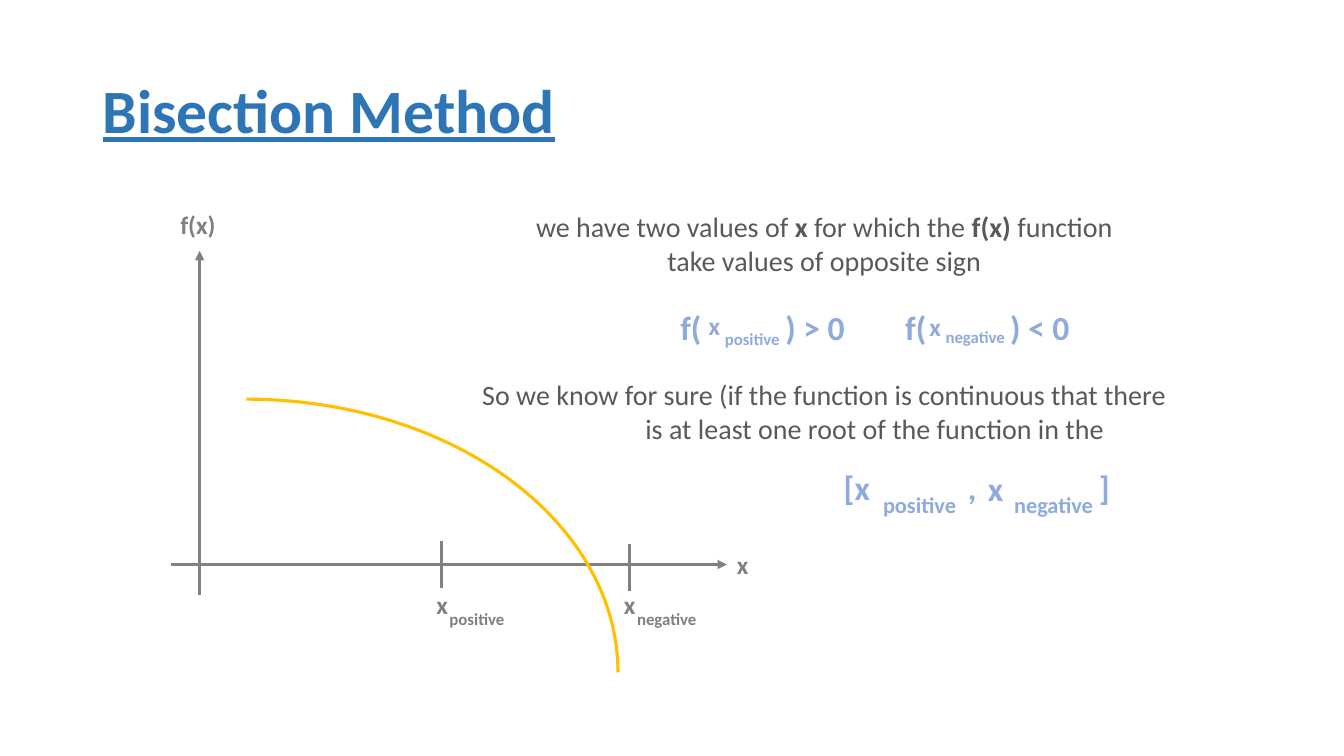
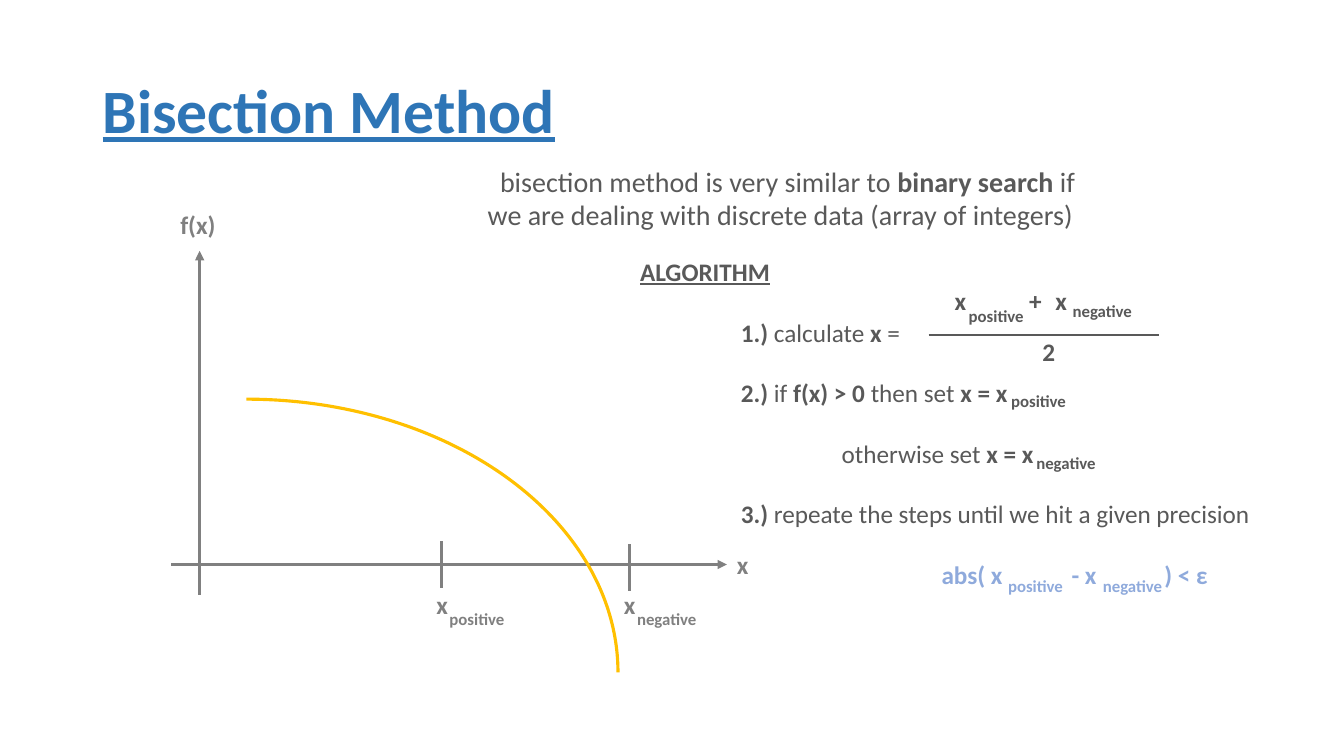
"""Builds two slides on the bisection method, sharing one title and one graph."""
import pptx
import pptx.dml.color
import pptx.enum.shapes
import pptx.enum.text
import pptx.oxml
import pptx.oxml.ns
import pptx.util
from pptx.util import Inches

THEME = {
    "font": "Calibri",
    "colors": {"title": "2E75B6", "axis": "808080", "body": "595959",
               "formula": "8FAADC", "curve": "FFC000"},
    "sizes": {"title": 44, "large": 24, "body": 20, "step": 18, "index": 16, "sub": 12},
    "line": 2.25,
    "thin": 1.5,
    "step_gap": 21.5,
}

TITLE = "Bisection Method"
AXES = [((1.98, 5.9), (1.98, 2.49)), ((1.7, 5.6), (7.21, 5.6))]
CURVE = (-1.24, 3.96, 7.37, 5.42)
TICK_LENGTH = 0.46
TICKS = [("positive", 4.38, 5.37), ("negative", 6.24, 5.4)]
AXIS_LABELS = [("f(x)", "step", "axis", 1.69, 2.03), ("x", "step", "axis", 7.21, 5.4)]

SLIDES = [
    {
        "texts": [
            {"at": (4.65, 2.03, 7.05, 0.77), "size": "body", "center": True, "lines": [
                (0, [("we have two values of ", False), ("x ", True), ("for which the ", False),
                     ("f(x) ", True), ("function", False)]),
                (0, [("take values of opposite sign", False)])]},
            {"at": (4.65, 3.7, 7.05, 0.77), "size": "body", "center": True, "lines": [
                (0, [("So we know for sure (if the function is continuous that there", False)]),
                (1, [("is at least one root of the function in the", False)])]},
        ],
        "labels": [
            ("f(", "large", "formula", 6.65, 3),
            ("x", "step", "formula", 6.93, 3.03),
            ("positive", "sub", "formula", 7.09, 3.21),
            (") > 0", "large", "formula", 7.69, 3),
            ("f(", "large", "formula", 8.88, 3),
            ("x", "step", "formula", 9.12, 3.04),
            ("negative", "sub", "formula", 9.28, 3.19),
            (") < 0", "large", "formula", 9.92, 3),
            ("[x", "large", "formula", 8.27, 4.58),
            ("positive", "index", "formula", 8.66, 4.82),
            (",", "large", "formula", 9.5, 4.58),
            ("x", "large", "formula", 9.7, 4.59),
            ("negative", "index", "formula", 9.96, 4.82),
            ("]", "large", "formula", 10.8, 4.58),
        ],
        "rules": [],
    },
    {
        "texts": [
            {"at": (4.45, 1.58, 6.72, 0.77), "size": "body", "center": True, "lines": [
                (0, [("bisection method is very similar to", False), (" binary search ", True),
                     ("if", False)]),
                (-0.14, [("we are dealing with discrete data (array of integers)", False)])]},
            {"at": (6.25, 2.49, 2, 0.4), "size": "step", "underline": True, "lines": [
                (0, [("ALGORITHM", True)])]},
            {"at": (6.25, 3.1, 6.6, 2.25), "size": "step", "gap": THEME["step_gap"], "lines": [
                (1, [("1.) ", True), ("calculate ", False), ("x", True), (" =", False)]),
                (1, [("2.) ", True), ("if ", False), ("f(x) > 0 ", True),
                     ("then set ", False), ("x = x", True)]),
                (2, [("otherwise set ", False), ("x = x", True)]),
                (1, [("3.) ", True),
                     ("repeate the steps until we hit a given precision", False)])]},
        ],
        "labels": [
            ("x", "step", "body", 9.37, 2.78),
            ("positive", "sub", "body", 9.51, 2.98),
            ("+", "step", "body", 10.11, 2.78),
            ("x", "step", "body", 10.37, 2.78),
            ("negative", "sub", "body", 10.54, 2.93),
            ("2", "step", "body", 10.24, 3.29),
            ("positive", "sub", "body", 9.93, 3.83),
            ("negative", "sub", "body", 10.18, 4.44),
            ("abs( x", "step", "formula", 9.24, 5.5),
            ("positive", "sub", "formula", 9.9, 5.66),
            ("- x", "step", "formula", 10.53, 5.5),
            ("negative", "sub", "formula", 10.84, 5.66),
            (") < ε", "step", "formula", 11.45, 5.5),
        ],
        "rules": [((9.21, 3.32), (11.5, 3.32))],
    },
]


def rgb(name):
    """Returns a theme colour."""
    return pptx.dml.color.RGBColor.from_string(THEME["colors"][name])


def add_text(s, at, lines, size, color="body", center=False, underline=False, gap=0):
    """Adds a text box from lines of (indent, runs) and returns its frame."""
    tf = s.shapes.add_textbox(*map(Inches, at)).text_frame
    tf.word_wrap = True
    for i, (indent, runs) in enumerate(lines):
        p = tf.add_paragraph() if i else tf.paragraphs[0]
        if center:
            p.alignment = pptx.enum.text.PP_ALIGN.CENTER
        if i and gap:
            p.space_before = pptx.util.Pt(gap)
        if indent:
            side = "marL" if indent > 0 else "marR"
            p._p.get_or_add_pPr().set(side, str(Inches(abs(indent))))
        for text, bold in runs:
            r = p.add_run()
            r.text = text
            r.font.name = THEME["font"]
            r.font.size = pptx.util.Pt(THEME["sizes"][size])
            r.font.color.rgb = rgb(color)
            r.font.bold = bold
            if underline:
                r.font.underline = True
    return tf


def add_label(s, text, size, color, left, top):
    """Adds a short bold label in a box sized for its text."""
    em = THEME["sizes"][size] / 72
    at = (left, top, 0.25 + 0.65 * em * len(text), 0.1 + 1.22 * em)
    add_text(s, at, [(0, [(text, True)])], size, color)


def add_line(s, start, end, color="axis", width=THEME["line"], arrow=False):
    """Adds a straight line, with an arrowhead at its end if asked."""
    c = s.shapes.add_connector(pptx.enum.shapes.MSO_CONNECTOR.STRAIGHT,
                               *map(Inches, start + end))
    c.line.color.rgb = rgb(color)
    c.line.width = pptx.util.Pt(width)
    if arrow:
        tail = pptx.oxml.parse_xml(
            f'<a:tailEnd {pptx.oxml.ns.nsdecls("a")} type="triangle"/>')
        c.line._get_or_add_ln().append(tail)
    c._element.spPr.append(
        pptx.oxml.parse_xml(f'<a:effectLst {pptx.oxml.ns.nsdecls("a")}/>'))


def add_title(s):
    """Adds the shared title."""
    tf = add_text(s, (0.92, 0.4, 11.5, 1.45), [(0, [(TITLE, True)])],
                  "title", "title", underline=True)
    tf.vertical_anchor = pptx.enum.text.MSO_ANCHOR.MIDDLE
    tf.paragraphs[0].line_spacing = 0.9


def add_graph(s):
    """Adds the axes, the two marked values and the curve."""
    for start, end in AXES:
        add_line(s, start, end, arrow=True)
    for label in AXIS_LABELS:
        add_label(s, *label)
    for name, x, y in TICKS:
        add_line(s, (x, y), (x, y + TICK_LENGTH))
        add_label(s, "x", "step", "axis", x - 0.15, 5.8)
        add_label(s, name, "sub", "axis", x - 0.02, 5.99)
    sp = s.shapes.add_shape(pptx.enum.shapes.MSO_SHAPE.ARC, *map(Inches, CURVE))
    sp.shadow.inherit = False
    sp.fill.background()
    sp.line.color.rgb = rgb("curve")
    sp.line.width = pptx.util.Pt(THEME["line"])


def main():
    """Builds and saves the presentation."""
    prs = pptx.Presentation()
    prs.slide_width, prs.slide_height = Inches(13.33), Inches(7.5)
    for content in SLIDES:
        s = prs.slides.add_slide(prs.slide_layouts[6])
        add_title(s)
        add_graph(s)
        for text in content["texts"]:
            add_text(s, **text)
        for label in content["labels"]:
            add_label(s, *label)
        for start, end in content["rules"]:
            add_line(s, start, end, "body", THEME["thin"])
    prs.save("out.pptx")


if __name__ == "__main__":
    main()
